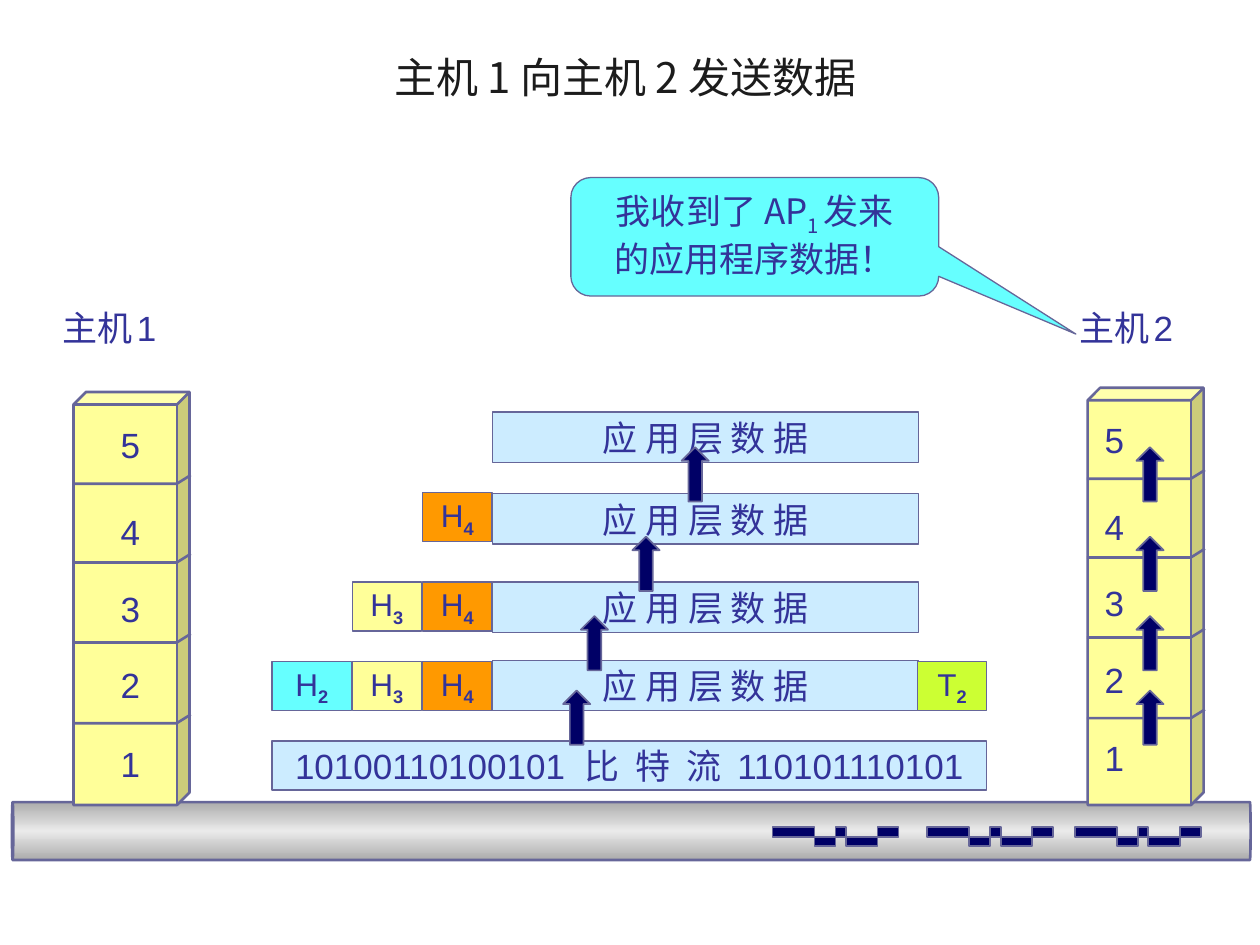
from copy import deepcopy
from typing import NamedTuple

from lxml import etree
from pptx import Presentation
from pptx.dml.color import RGBColor
from pptx.enum.shapes import MSO_SHAPE as Kind
from pptx.enum.text import MSO_ANCHOR as Anchor, MSO_AUTO_SIZE as Fit, PP_ALIGN as Align
from pptx.oxml.ns import qn
from pptx.util import Pt

INK = RGBColor(0x33, 0x33, 0x99)
DARK = RGBColor(0x1C, 0x1C, 0x1C)
EDGE = RGBColor(0x66, 0x66, 0x99)
NAVY = RGBColor(0x00, 0x00, 0x66)
PALE = RGBColor(0xCC, 0xEC, 0xFF)
CREAM = RGBColor(0xFF, 0xFF, 0x99)
AMBER = RGBColor(0xFF, 0x99, 0x00)
CYAN = RGBColor(0x66, 0xFF, 0xFF)
LIME = RGBColor(0xCC, 0xFF, 0x33)
GREY = RGBColor(0xAC, 0xAC, 0xAC)
LIGHT = RGBColor(0xEA, 0xEA, 0xEA)
CJK = "Noto Sans CJK SC"


class Run(NamedTuple):
    text: str
    size: float = 20
    font: str = "Arial"
    sub: bool = False
    bold: bool = False


class Box(NamedTuple):
    left: float
    top: float
    width: float
    height: float


class Host(NamedTuple):
    name: str
    label: float   # left of the name
    left: float    # left of the tower
    top: float
    digit: float   # left of the layer numbers
    lift: float    # how far layers sit above those of host 1


class Layer(NamedTuple):
    data: float          # top of the data box
    head: float          # top of the headers
    tags: tuple[str, ...]


HOSTS = (Host("1", 28.8, 42, 224, 61.9, 0),
         Host("2", 609.8, 621.5, 221.6, 624.2, 2.9))
FLOOR = 460
DIGITS = (238.3, 288, 331.9, 375.8, 420.5)
SEAMS = (276.5, 321.5, 367.2, 413.3)
LAYERS = (Layer(235.4, 0, ()),
          Layer(282.2, 281.5, ("H4",)),
          Layer(332.6, 332.6, ("H4", "H3")),
          Layer(377.3, 378, ("H4", "H3", "H2", "T2")))
TAGS = {"H4": (241.5, 39.6, AMBER), "H3": (201.3, 39.6, CREAM),
        "H2": (155.5, 45.4, CYAN), "T2": (524.2, 39.6, LIME)}
STEPS = ((321.8, 394.6), (331.9, 352.1), (361.4, 306.7), (389.5, 255.6))
WAVE = ((0, 5.4), (0, 0), (24, 0), (24, 10.8), (36, 10.8), (36, 0), (42, 0),
        (42, 10.8), (60, 10.8), (60, 0), (72, 0), (72, 5.4))


def write(par, runs: tuple[Run, ...], color=INK, align=Align.CENTER) -> None:
    par.alignment = align
    for item in runs:
        run = par.add_run()
        run.text = item.text
        font = run.font
        font.size, font.name, font.bold = Pt(item.size), item.font, item.bold
        font.color.rgb = color
        props = run._r.get_or_add_rPr()
        etree.SubElement(props, qn("a:ea")).set("typeface", CJK)
        if item.sub:
            props.set("baseline", "-25000")


def style(shape, fill, width: float) -> None:
    """Set fill (None for none) and outline, without shadow."""
    shape.shadow.inherit = False
    if fill is None:
        shape.fill.background()
    else:
        shape.fill.solid()
        shape.fill.fore_color.rgb = fill
    shape.line.color.rgb = EDGE
    shape.line.width = Pt(width)


def add(slide, kind, box: Box, fill, width: float = 0.75, adj=()):
    shape = slide.shapes.add_shape(kind, *map(Pt, box))
    style(shape, fill, width)
    for i, value in enumerate(adj):
        shape.adjustments[i] = value
    return shape


def cell(slide, box: Box, fill, *runs: Run) -> None:
    frame = add(slide, Kind.RECTANGLE, box, fill).text_frame
    frame.word_wrap = False
    frame.vertical_anchor = Anchor.MIDDLE
    write(frame.paragraphs[0], runs)


def label(slide, box: Box, *runs: Run) -> None:
    frame = slide.shapes.add_textbox(*map(Pt, box)).text_frame
    frame.word_wrap = False
    frame.auto_size = Fit.SHAPE_TO_FIT_TEXT
    write(frame.paragraphs[0], runs, align=Align.LEFT)


def path(slide, left: float, top: float, points, fill, width: float, close: bool) -> None:
    spots = [(Pt(left + x), Pt(top + y)) for x, y in points]
    pen = slide.shapes.build_freeform(*spots[0])
    pen.add_line_segments(spots[1:], close=close)
    style(pen.convert_to_shape(), fill, width)


def pipe(slide) -> None:
    """Draw the cable as a can on its side, shaded across."""
    can = add(slide, Kind.CAN, Box(344.2, 121, 33.1, 707.8), GREY, 1.5, (0.023,))
    can.rotation = 270
    can.fill.gradient()
    can.fill.gradient_angle = 0
    stops = can._element.spPr.find(qn("a:gradFill")).find(qn("a:gsLst"))
    stops.append(deepcopy(stops[-1]))
    for stop, place, color in zip(can.fill.gradient_stops, (0, 0.5, 1), (GREY, LIGHT, GREY)):
        stop.position = place
        stop.color.rgb = color


def tower(slide, host: Host) -> None:
    box = Box(host.left, host.top, 66.3, FLOOR - host.top)
    add(slide, Kind.CUBE, box, CREAM, 1.5, (0.108,))
    for i, top in enumerate(DIGITS):
        label(slide, Box(host.digit, top - host.lift, 25.2, 31.7), Run(str(5 - i)))
    for top in SEAMS:
        path(slide, host.left, top - host.lift, ((-0.5, 0), (59, 0), (67, -5)),
             None, 1.5, False)
    label(slide, Box(host.label, 171.4, 72.7, 31.7),
          Run("主机"), Run(" ", 10), Run(host.name))


def layer(slide, item: Layer) -> None:
    cell(slide, Box(281.5, item.data, 243.4, 28.8), PALE, Run("应 用 层 数 据", font="Lato"))
    for tag in item.tags:
        left, width, fill = TAGS[tag]
        cell(slide, Box(left, item.head, width, 28.1), fill,
             Run(tag[0], 18), Run(tag[1], 18, sub=True, bold=True))


def main() -> None:
    deck = Presentation()
    deck.slide_width, deck.slide_height = Pt(720), Pt(540)
    slide = deck.slides.add_slide(deck.slide_layouts[5])

    title = slide.shapes.title
    title.left, title.top, title.width, title.height = map(Pt, (36, 21.6, 648, 43.9))
    title.text_frame.vertical_anchor = Anchor.MIDDLE
    write(title.text_frame.paragraphs[0], (Run("主机 1 向主机 2 发送数据 ", 24, CJK),), DARK)

    pipe(slide)
    for host in HOSTS:
        tower(slide, host)
    cell(slide, Box(155.5, 423.4, 408.2, 28.1), PALE,
         Run("10100110100101  比  特  流  110101110101"))
    for item in LAYERS:
        layer(slide, item)
    for left in (441.4, 529.9, 614.2):
        path(slide, left, 472.7, WAVE, NAVY, 1, True)

    call = add(slide, Kind.ROUNDED_RECTANGULAR_CALLOUT, Box(326.2, 101.5, 210.2, 67.7),
               CYAN, adj=(0.873, 0.821, 0.167)).text_frame
    call.word_wrap = True
    call.vertical_anchor = Anchor.TOP
    write(call.paragraphs[0], (Run("我收到了 AP", font=CJK), Run("1 ", font=CJK, sub=True),
                               Run("发来", font=CJK)))
    write(call.add_paragraph(), (Run("的应用程序数据！", font=CJK),))

    for left, top in STEPS:
        for side in (649.4, left):
            add(slide, Kind.UP_ARROW, Box(side, top, 15.5, 31), NAVY, 1, (0.5, 0.5))
    deck.save("out.pptx")


if __name__ == "__main__":
    main()
